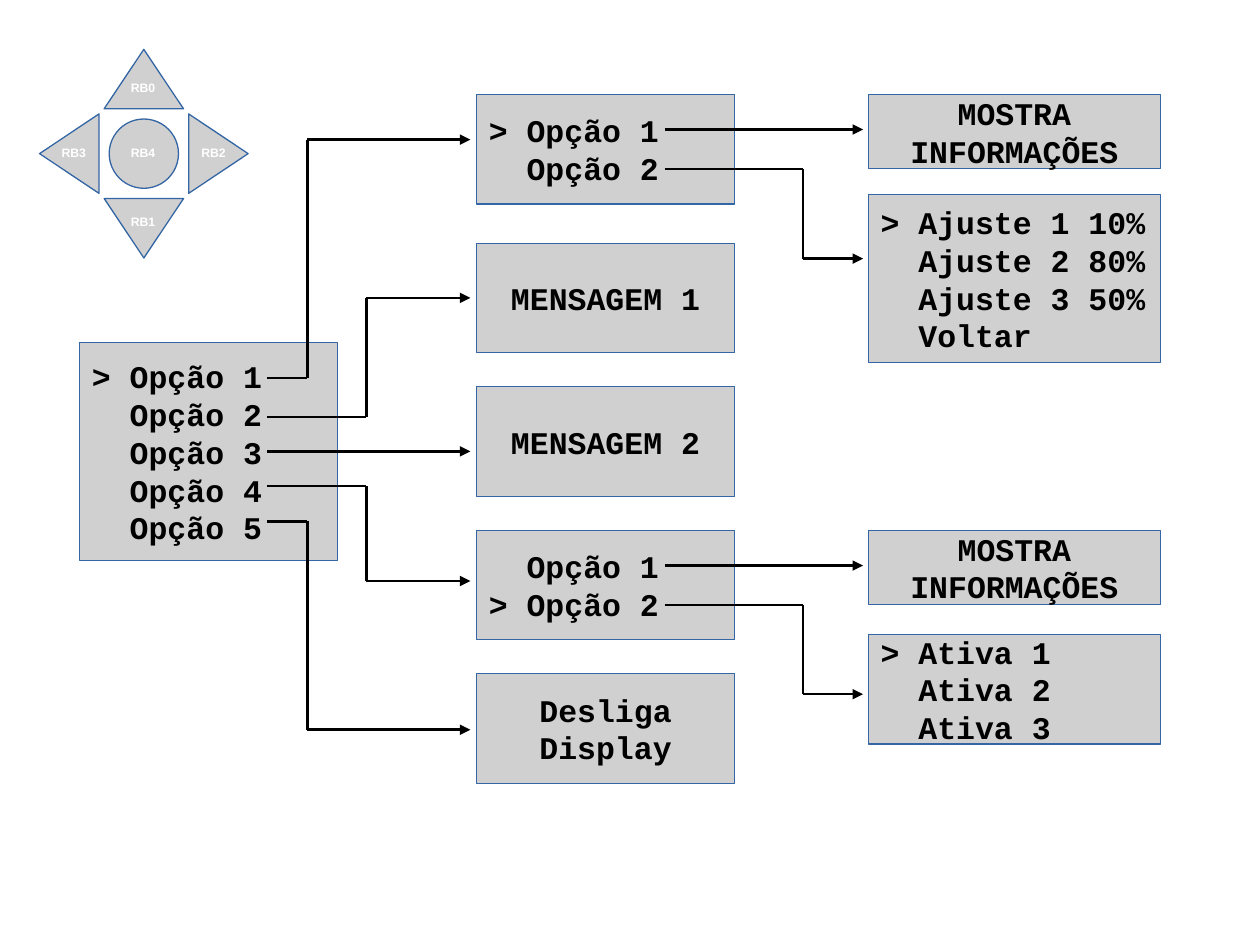
"""Build a slide that maps the buttons and menu screens of a small display."""
from lxml import etree
from pptx import Presentation
from pptx.dml.color import RGBColor
from pptx.enum.shapes import MSO_CONNECTOR, MSO_SHAPE
from pptx.enum.text import MSO_ANCHOR, MSO_AUTO_SIZE, PP_ALIGN
from pptx.oxml.ns import qn
from pptx.util import Pt

RECT = MSO_SHAPE.RECTANGLE
OVAL = MSO_SHAPE.OVAL
WEDGE = MSO_SHAPE.ISOSCELES_TRIANGLE
LINE = MSO_CONNECTOR.STRAIGHT
MID = MSO_ANCHOR.MIDDLE
GROW = MSO_AUTO_SIZE.SHAPE_TO_FIT_TEXT
LEFT, CENTER = PP_ALIGN.LEFT, PP_ALIGN.CENTER

GRAY = RGBColor(0xD0, 0xD0, 0xD0)
BLUE = RGBColor(0x34, 0x65, 0xA4)
BLACK = RGBColor(0, 0, 0)
WHITE = RGBColor(0xFF, 0xFF, 0xFF)

deck = Presentation()
deck.slide_width, deck.slide_height = Pt(720), Pt(540)
slide = deck.slides.add_slide(deck.slide_layouts[6])


def add_form(kind, x, y, w, h):
    form = slide.shapes.add_shape(kind, Pt(x), Pt(y), Pt(w), Pt(h))
    form.shadow.inherit = False
    form.fill.solid()
    form.fill.fore_color.rgb = GRAY
    form.line.color.rgb = BLUE
    form.line.width = Pt(0)
    return form


def add_text(par, text, face, size, color):
    run = par.add_run()
    run.text = text
    run.font.name = face
    run.font.size = Pt(size)
    run.font.bold = True
    run.font.color.rgb = color


COL1, COL2, COL3 = 45.4, 272.2, 496.1
WIDE, BROAD = 147.6, 167
TALL, LOW = 62.6, 42.5
INFO = ["MOSTRA", "INFORMAÇÕES"]
MARK = "> "
INDENT = 21.6

screens = [
    (COL1, 195.8, WIDE, 124.6, LEFT,
     ["> Opção 1", "Opção 2", "Opção 3", "Opção 4", "Opção 5"]),
    (COL2, 54, WIDE, TALL, LEFT, ["> Opção 1", "Opção 2"]),
    (COL2, 139, WIDE, TALL, CENTER, ["MENSAGEM 1"]),
    (COL2, 221, WIDE, TALL, CENTER, ["MENSAGEM 2"]),
    (COL2, 303, WIDE, TALL, LEFT, ["Opção 1", "> Opção 2"]),
    (COL2, 385, WIDE, TALL, CENTER, ["Desliga", "Display"]),
    (COL3, 54, BROAD, LOW, CENTER, INFO),
    (COL3, 111, BROAD, 96.3, LEFT,
     ["> Ajuste 1 10%", "Ajuste 2 80%", "Ajuste 3 50%", "Voltar"]),
    (COL3, 303, BROAD, LOW, CENTER, INFO),
    (COL3, 362.6, BROAD, TALL, LEFT, ["> Ativa 1", "Ativa 2", "Ativa 3"]),
]
for x, y, w, h, align, rows in screens:
    frame = add_form(RECT, x, y, w, h).text_frame
    frame.word_wrap = True
    frame.vertical_anchor = MID
    for i, row in enumerate(rows):
        par = frame.add_paragraph() if i else frame.paragraphs[0]
        par.alignment = align
        if align == LEFT and not row.startswith(MARK):
            par._p.get_or_add_pPr().set("marL", str(Pt(INDENT)))
        add_text(par, row, "Courier New", 18, BLACK)

OUT1, END1 = 152.8, 268.8
OUT2, END2 = 379.8, 493.2
NEAR, FAR, BEND = 175.6, 209.4, 458.9
routes = [
    (OUT1, 216, NEAR, END1, 79.8),
    (OUT1, 238.2, FAR, END1, 170.2),
    (OUT1, 257.9, None, END1, 257.9),
    (OUT1, 277.8, FAR, END1, 332),
    (OUT1, 298, NEAR, END1, 417),
    (OUT2, 74, None, END2, 74),
    (OUT2, 96.6, BEND, END2, 147.8),
    (OUT2, 323.2, None, END2, 323.2),
    (OUT2, 345.6, BEND, END2, 396.7),
]
for x, y, bend, endx, endy in routes:
    turns = [(bend, y), (bend, endy)] if bend else []
    points = [(x, y), *turns, (endx, endy)]
    for start, stop in zip(points, points[1:]):
        line = slide.shapes.add_connector(LINE, *map(Pt, start + stop))
        line.line.color.rgb = BLACK
        line.line.width = Pt(1.42)
        etree.SubElement(line._element.spPr, qn("a:effectLst"))
        if stop == points[-1]:
            head = etree.SubElement(line.line._get_or_add_ln(), qn("a:tailEnd"))
            head.set("type", "triangle")

MIDX, MIDY = 82.2, 87.8
REACH = 42.6
BASE, RISE, DISK = 45.4, 34, 39.6
keys = [
    ("RB0", 0, -1, 0, 67.7, 42.5),
    ("RB2", 1, 0, 90, 108, 79.2),
    ("RB1", 0, 1, 180, 67.7, 118.8),
    ("RB3", -1, 0, 270, 28.1, 79.2),
    ("RB4", 0, 0, 0, 67.7, 79.2),
]
for name, dx, dy, turn, x, y in keys:
    kind, w, h = (WEDGE, BASE, RISE) if dx or dy else (OVAL, DISK, DISK)
    key = add_form(kind, MIDX + dx * REACH - w / 2, MIDY + dy * REACH - h / 2, w, h)
    key.rotation = turn
    label = slide.shapes.add_textbox(Pt(x), Pt(y), Pt(39.6), Pt(15.1))
    label.text_frame.word_wrap = True
    label.text_frame.auto_size = GROW
    add_text(label.text_frame.paragraphs[0], name, "Arial", 7, WHITE)

deck.save("out.pptx")
